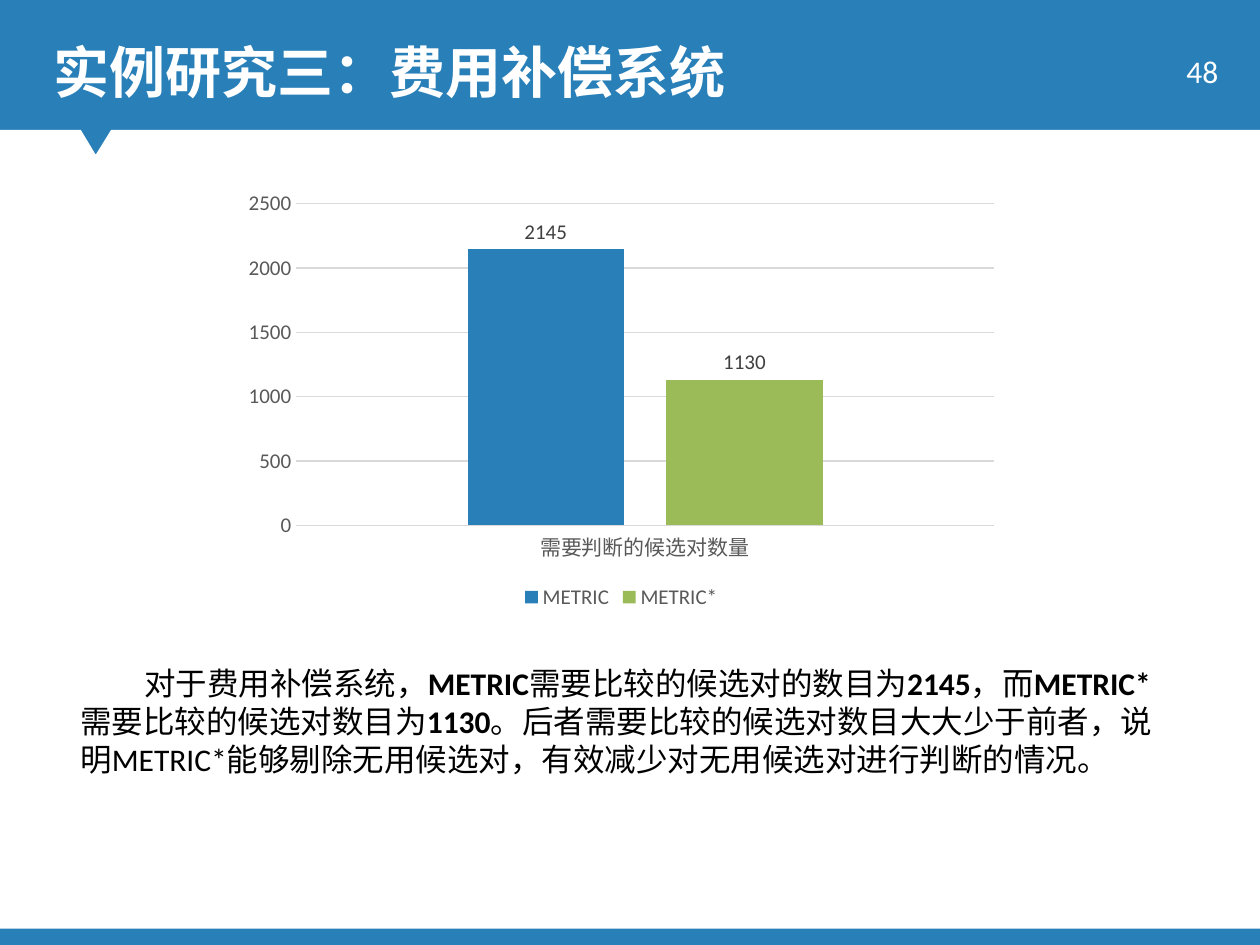
from pptx import Presentation
from pptx.chart.data import CategoryChartData
from pptx.dml.color import RGBColor
from pptx.enum.chart import XL_CHART_TYPE, XL_LABEL_POSITION, XL_LEGEND_POSITION, XL_TICK_MARK
from pptx.enum.shapes import MSO_SHAPE
from pptx.enum.text import MSO_ANCHOR, PP_ALIGN
from pptx.util import Cm, Pt

COLORS = {
    "blue": "2980B9",
    "green": "9BBB59",
    "white": "FFFFFF",
    "black": "000000",
    "axis": "595959",
    "label": "404040",
    "grid": "D9D9D9",
}


class SlideBuilder:
    font_name = "Calibri"

    def __init__(self, slide):
        self.slide = slide

    def color(self, name):
        return RGBColor.from_string(COLORS[name])

    def style_font(self, font, size, color, bold=None):
        font.name = self.font_name
        font.size = Pt(size)
        font.color.rgb = self.color(color)
        font.bold = bold

    def paint(self, shape, fill):
        shape.shadow.inherit = False
        shape.fill.solid()
        shape.fill.fore_color.rgb = self.color(fill)
        shape.line.fill.background()

    def rectangle(self, left, top, width, height, fill):
        shape = self.slide.shapes.add_shape(
            MSO_SHAPE.RECTANGLE, Cm(left), Cm(top), Cm(width), Cm(height))
        self.paint(shape, fill)

    def polygon(self, points, fill):
        start, *others = [(Cm(x), Cm(y)) for x, y in points]
        builder = self.slide.shapes.build_freeform(*start)
        builder.add_line_segments(others, close=True)
        self.paint(builder.convert_to_shape(), fill)

    def title(self, text, left, top, width, height):
        heading = self.slide.shapes.title
        self.slide.shapes._spTree.append(heading._element)
        heading.left, heading.top = Cm(left), Cm(top)
        heading.width, heading.height = Cm(width), Cm(height)
        frame = heading.text_frame
        frame.text = text
        frame.vertical_anchor = MSO_ANCHOR.MIDDLE
        paragraph = frame.paragraphs[0]
        paragraph.alignment = PP_ALIGN.LEFT
        self.style_font(paragraph.font, 32, "white", True)

    def text(self, runs, left, top, width, height, color, align=PP_ALIGN.LEFT,
             anchor=MSO_ANCHOR.TOP, indent=0):
        box = self.slide.shapes.add_textbox(Cm(left), Cm(top), Cm(width), Cm(height))
        frame = box.text_frame
        frame.word_wrap = True
        frame.vertical_anchor = anchor
        paragraph = frame.paragraphs[0]
        paragraph.alignment = align
        if indent:
            paragraph._p.get_or_add_pPr().set("indent", str(Cm(indent)))
        self.style_font(paragraph.font, 18, color)
        for words, bold in runs:
            run = paragraph.add_run()
            run.text = words
            run.font.bold = bold

    def column_chart(self, category, series, left, top, width, height):
        data = CategoryChartData()
        data.categories = [category]
        for name, value, _ in series:
            data.add_series(name, [value])
        chart = self.slide.shapes.add_chart(
            XL_CHART_TYPE.COLUMN_CLUSTERED,
            Cm(left), Cm(top), Cm(width), Cm(height), data).chart
        self.style_font(chart.font, 12, "axis")
        chart.has_title = False
        chart.has_legend = True
        chart.legend.position = XL_LEGEND_POSITION.BOTTOM
        chart.legend.include_in_layout = False
        self.style_font(chart.legend.font, 12, "axis")

        for axis in (chart.category_axis, chart.value_axis):
            axis.major_tick_mark = axis.minor_tick_mark = XL_TICK_MARK.NONE
            self.style_font(axis.tick_labels.font, 12, "axis")
        chart.value_axis.minimum_scale = 0
        chart.value_axis.maximum_scale = 2500
        chart.value_axis.major_unit = 500
        chart.value_axis.format.line.fill.background()
        for line in (chart.category_axis.format.line,
                     chart.value_axis.major_gridlines.format.line):
            line.color.rgb = self.color("grid")
            line.width = Pt(0.75)

        plot = chart.plots[0]
        plot.vary_by_categories = False
        plot.gap_width = 219
        plot.overlap = -27
        for column, (_, _, fill) in zip(plot.series, series):
            column.format.fill.solid()
            column.format.fill.fore_color.rgb = self.color(fill)
            labels = column.data_labels
            labels.show_value = True
            labels.position = XL_LABEL_POSITION.OUTSIDE_END
            self.style_font(labels.font, 12, "label")


def main():
    deck = Presentation()
    deck.slide_width, deck.slide_height = Cm(25.4), Cm(19.05)
    page = SlideBuilder(deck.slides.add_slide(deck.slide_layouts[5]))

    page.rectangle(0, 0, 25.4, 19.05, "blue")
    page.polygon([(0, 2.62), (1.63, 2.62), (1.93, 3.12), (2.24, 2.62),
                  (25.4, 2.62), (25.4, 18.72), (0, 18.72)], "white")
    page.title("实例研究三：费用补偿系统", 0.82, 0.61, 19.7, 1.63)
    page.text([("48", False)], 22.53, 0.79, 2.28, 1.27, "white",
              PP_ALIGN.RIGHT, MSO_ANCHOR.MIDDLE)
    page.text([
        ("对于费用补偿系统，", False),
        ("METRIC", True),
        ("需要比较的候选对的数目为", False),
        ("2145", True),
        ("，而", False),
        ("METRIC*", True),
        ("需要比较的候选对数目为", False),
        ("1130", True),
        ("。后者需要比较的候选对数目大大少于前者，说明METRIC*能够剔除无用候选对，"
         "有效减少对无用候选对进行判断的情况。", False),
    ], 1.37, 13.26, 22.25, 2.57, "black", indent=1.29)
    page.column_chart("需要判断的候选对数量",
                      [("METRIC", 2145, "blue"), ("METRIC*", 1130, "green")],
                      4.7, 3.68, 15.65, 8.71)

    deck.save("out.pptx")


if __name__ == "__main__":
    main()
